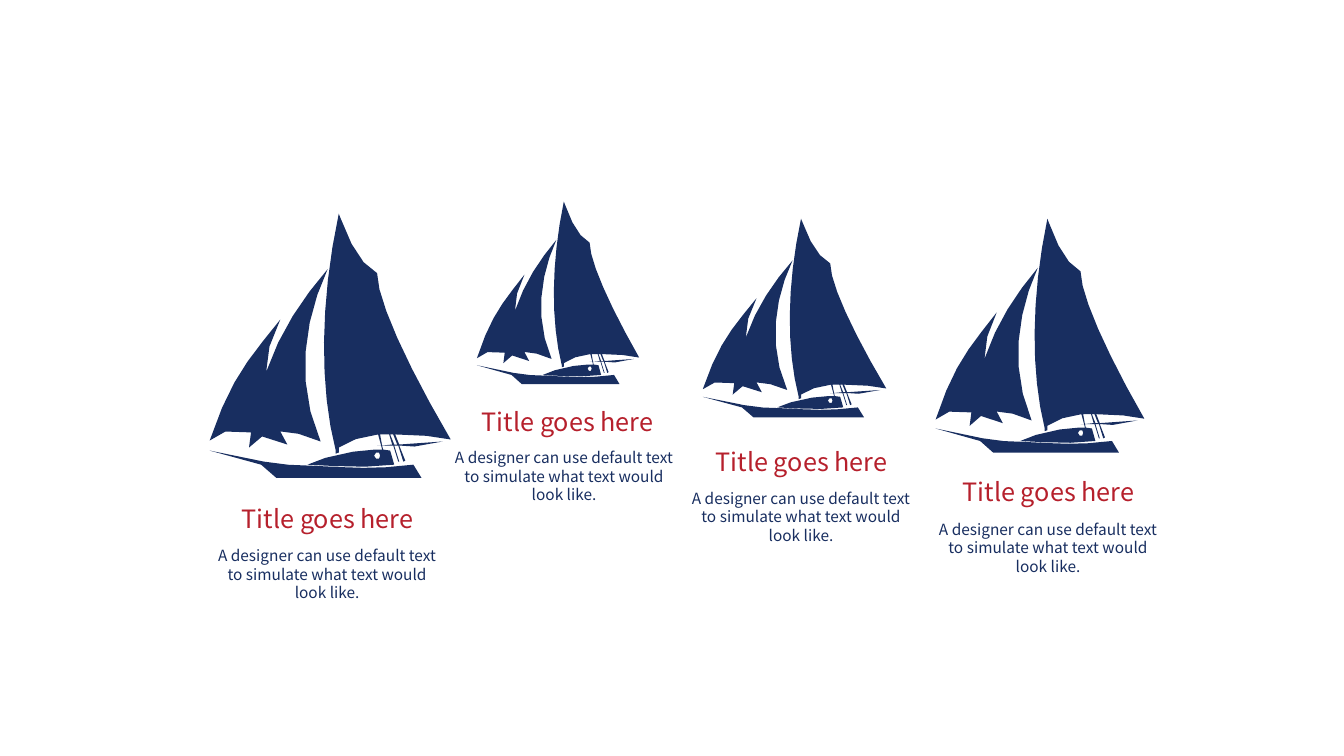
from math import ceil, dist

from pptx import Presentation
from pptx.dml.color import RGBColor
from pptx.enum.text import MSO_AUTO_SIZE, PP_ALIGN
from pptx.util import Inches, Pt

CENTER = PP_ALIGN.CENTER
GROW = MSO_AUTO_SIZE.SHAPE_TO_FIT_TEXT
NAVY = RGBColor(0x18, 0x2E, 0x60)
RED = RGBColor(0xB6, 0x20, 0x2C)
FONT = "Noto Sans CJK SC"

TITLE = "Title goes here"
BODY = "A designer can use default text to simulate what text would look like."

# Boat outline on a 239 x 262 grid: pairs are corners, sixes are Bezier curves
GRID_WIDTH, GRID_HEIGHT = 239, 262
STEP_LENGTH = 32
HULL = [
    (54, 246), (0, 235), (51, 249), (66, 262), (210, 262), (202, 249),
    (160, 254, 145, 252, 101, 250), (88, 250, 69, 249, 54, 246),
]
MAINSAIL_AND_CABIN = [
    (166, 230), (170, 230), (167, 219), (151, 221, 137, 225, 128, 232),
    (128, 237), (125, 238), (125, 235), (109, 173, 109, 89, 128, 0),
    (130, 5), (140, 33, 152, 52, 166, 59), (166, 85, 195, 149, 239, 224),
    (227, 221, 205, 219, 184, 219), (188, 229), (231, 226), (203, 231),
    (188, 230), (194, 245), (192, 246), (187, 230), (183, 230), (188, 246),
    (187, 246), (182, 230), (171, 230), (172, 234), (179, 235),
    (177, 239, 178, 246, 183, 249), (158, 253, 118, 250, 97, 249),
    (105, 243, 150, 233, 164, 234), (171, 234), (170, 230),
]
RIGGING_LEFT = [(171, 230), (181, 229), (178, 219), (169, 219)]
RIGGING_RIGHT = [(183, 229), (186, 229), (182, 219), (179, 219)]
JIBS = [
    (39, 232), (42, 227, 47, 223, 52, 221), (60, 222, 68, 225, 77, 229),
    (75, 225, 73, 221, 70, 216), (81, 216, 94, 219, 110, 226),
    (84, 167, 94, 104, 117, 55), (92, 84, 70, 116, 56, 157),
    (56, 140, 60, 124, 70, 105), (38, 145, 21, 163, 0, 225),
    (8, 216, 20, 213, 41, 217), (40, 222, 40, 227, 39, 232),
]
PORTHOLE = [
    (165, 237), (168, 237), (169, 240), (168, 243), (165, 243), (163, 240),
]
BOAT = [HULL, MAINSAIL_AND_CABIN, RIGGING_LEFT, RIGGING_RIGHT, JIBS, PORTHOLE]

# Boat (left, top, width, height), title (left, top), body (left, top)
COLUMNS = [
    ((2.08, 2.12, 2.39, 2.62), (2.23, 4.94), (2.05, 5.37)),
    ((4.73, 2.0, 1.61, 1.81), (4.61, 3.98), (4.4, 4.4)),
    ((6.97, 2.17, 1.82, 1.97), (6.93, 4.38), (6.75, 4.8)),
    ((9.28, 2.17, 2.07, 2.32), (9.38, 4.68), (9.2, 5.11)),
]
TITLE_SIZE = (2.04, 0.4)
BODY_SIZE = (2.39, 0.66)
TITLE_FORMAT = {"name": FONT, "size": Pt(18)}
BODY_FORMAT = {"name": FONT, "size": Pt(11)}


def flatten(outline):
    """Turn corners and Bezier curves into points, more on longer curves."""
    points = []
    for piece in outline:
        if len(piece) == 2:
            points.append(piece)
            continue
        start, first, second, end = points[-1], piece[:2], piece[2:4], piece[4:]
        steps = ceil(dist(start, end) / STEP_LENGTH)
        for step in range(1, steps + 1):
            t = step / steps
            u = 1 - t
            points.append(tuple(
                u**3 * a + 3 * u * u * t * b + 3 * u * t * t * c + t**3 * d
                for a, b, c, d in zip(start, first, second, end)
            ))
    return points


class SlidePainter:
    """Holds the slide and draws its kinds of element."""

    def __init__(self, page):
        self.page = page

    def boat(self, left, top, width, height):
        def place(point):
            x, y = point
            return (Inches(left + x / GRID_WIDTH * width),
                    Inches(top + y / GRID_HEIGHT * height))

        builder = None
        for outline in BOAT:
            points = [place(point) for point in flatten(outline)]
            if builder is None:
                builder = self.page.shapes.build_freeform(*points[0], scale=1.0)
            else:
                builder.move_to(*points[0])
            builder.add_line_segments(points[1:], close=True)
        shape = builder.convert_to_shape()
        shape.shadow.inherit = False
        shape.fill.solid()
        shape.fill.fore_color.rgb = NAVY
        shape.line.fill.background()

    def text(self, words, position, size, color, font_format):
        box = self.page.shapes.add_textbox(*map(Inches, position + size))
        frame = box.text_frame
        frame.word_wrap = True
        frame.auto_size = GROW
        para = frame.paragraphs[0]
        para.alignment = CENTER
        span = para.add_run()
        span.text = words
        for name, value in font_format.items():
            setattr(span.font, name, value)
        span.font.color.rgb = color


def main():
    deck = Presentation()
    deck.slide_width = Inches(13.33)
    deck.slide_height = Inches(7.5)
    painter = SlidePainter(deck.slides.add_slide(deck.slide_layouts[6]))

    # Four boats, each with a title and a body text below
    for boat_frame, _, _ in COLUMNS:
        painter.boat(*boat_frame)
    for _, title_position, body_position in COLUMNS:
        painter.text(BODY, body_position, BODY_SIZE, NAVY, BODY_FORMAT)
        painter.text(TITLE, title_position, TITLE_SIZE, RED, TITLE_FORMAT)

    deck.save("out.pptx")


if __name__ == "__main__":
    main()
